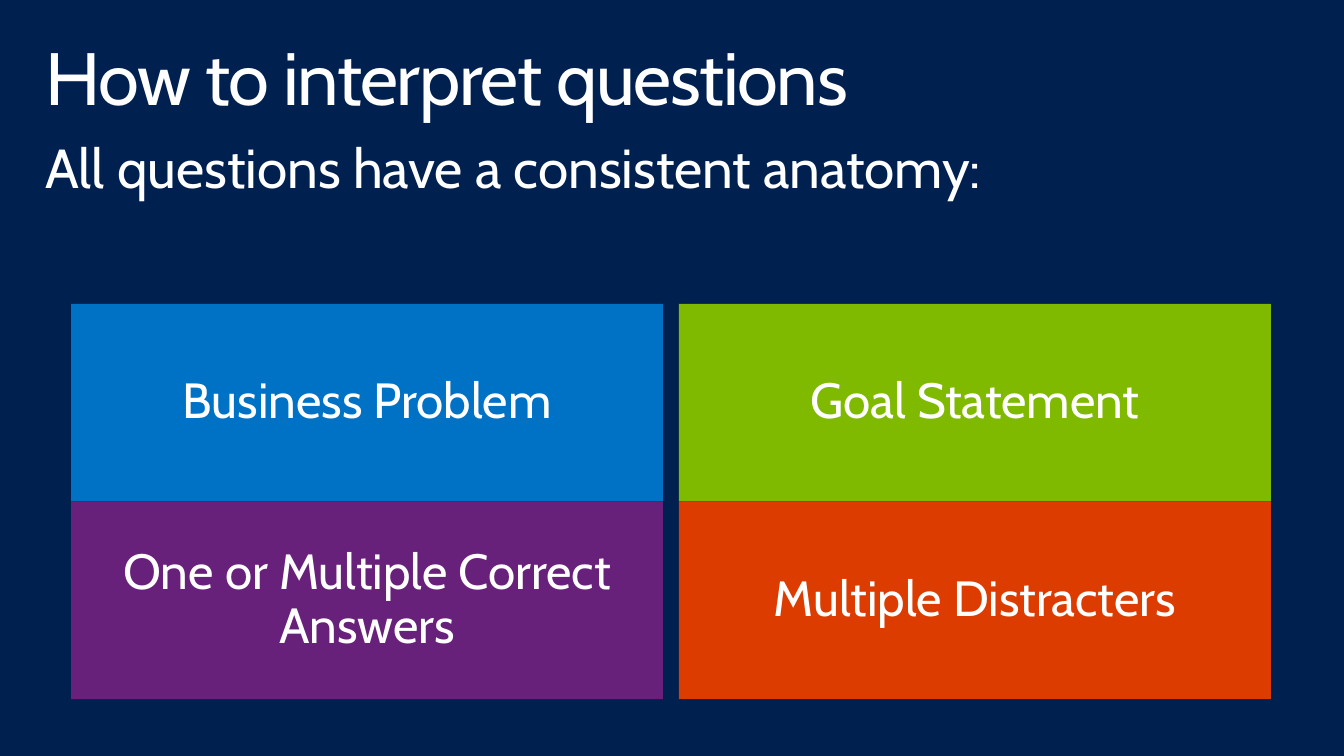
from pptx import Presentation
from pptx.dml.color import RGBColor
from pptx.enum.shapes import MSO_SHAPE
from pptx.enum.text import MSO_ANCHOR, PP_ALIGN
from pptx.util import Cm, Pt

TITLE = "How to interpret questions"
SUBTITLE = "All questions have a consistent anatomy:"
ANATOMY = [
    [("Business Problem", "blue"), ("Goal Statement", "green")],
    [("One or Multiple Correct Answers", "purple"), ("Multiple Distracters", "orange")],
]

THEME = {
    "font": "Cabin",
    "sizes": {"title": 54, "subtitle": 40, "tile": 36},
    "colors": {
        "background": "002050",
        "text": "FFFFFF",
        "blue": "0072C6",
        "green": "7FBA00",
        "purple": "68217A",
        "orange": "DC3C00",
    },
}

# All lengths in centimetres
SLIDE_SIZE = (34.54, 19.43)
HEADING_LEFT, HEADING_WIDTH = 0.76, 33.02
HEADING_INSETS = (0.41, 0.25)
GRID_LEFT, GRID_TOP = 1.83, 7.81
TILE_WIDTH, TILE_HEIGHT = 15.21, 5.08
COLUMN_GAP = 0.41
TILE_INSETS = (1.14, 0.41)


def color(name):
    return RGBColor.from_string(THEME["colors"][name])


def write(frame, text, role, insets, align, anchor, tracking=0):
    """Fill a text frame with one styled line; tracking is in points."""
    frame.word_wrap = True
    frame.vertical_anchor = anchor
    frame.margin_left = frame.margin_right = Cm(insets[0])
    frame.margin_top = frame.margin_bottom = Cm(insets[1])
    paragraph = frame.paragraphs[0]
    paragraph.alignment = align
    paragraph.line_spacing = 0.9
    run = paragraph.add_run()
    run.text = text
    run.font.name = THEME["font"]
    run.font.size = Pt(THEME["sizes"][role])
    run.font.color.rgb = color("text")
    if tracking:
        run._r.get_or_add_rPr().set("spc", str(tracking * 100))


def add_heading(slide, text, role, top, height, tracking=0):
    heading = slide.shapes.add_textbox(
        Cm(HEADING_LEFT), Cm(top), Cm(HEADING_WIDTH), Cm(height))
    write(heading.text_frame, text, role, HEADING_INSETS,
          PP_ALIGN.LEFT, MSO_ANCHOR.TOP, tracking)


def add_tile(slide, text, fill, row, column):
    left = GRID_LEFT + column * (TILE_WIDTH + COLUMN_GAP)
    top = GRID_TOP + row * TILE_HEIGHT
    tile = slide.shapes.add_shape(
        MSO_SHAPE.RECTANGLE, Cm(left), Cm(top), Cm(TILE_WIDTH), Cm(TILE_HEIGHT))
    tile.shadow.inherit = False
    tile.fill.solid()
    tile.fill.fore_color.rgb = color(fill)
    tile.line.fill.background()
    write(tile.text_frame, text, "tile", TILE_INSETS,
          PP_ALIGN.CENTER, MSO_ANCHOR.MIDDLE)


def main():
    deck = Presentation()
    deck.slide_width, deck.slide_height = map(Cm, SLIDE_SIZE)
    slide = deck.slides.add_slide(deck.slide_layouts[6])
    slide.background.fill.solid()
    slide.background.fill.fore_color.rgb = color("background")

    add_heading(slide, TITLE, "title", top=0.81, height=2.54, tracking=-1)
    add_heading(slide, SUBTITLE, "subtitle", top=3.38, height=2.06)
    for row, tiles in enumerate(ANATOMY):
        for column, (text, fill) in enumerate(tiles):
            add_tile(slide, text, fill, row, column)

    deck.save("out.pptx")


if __name__ == "__main__":
    main()
